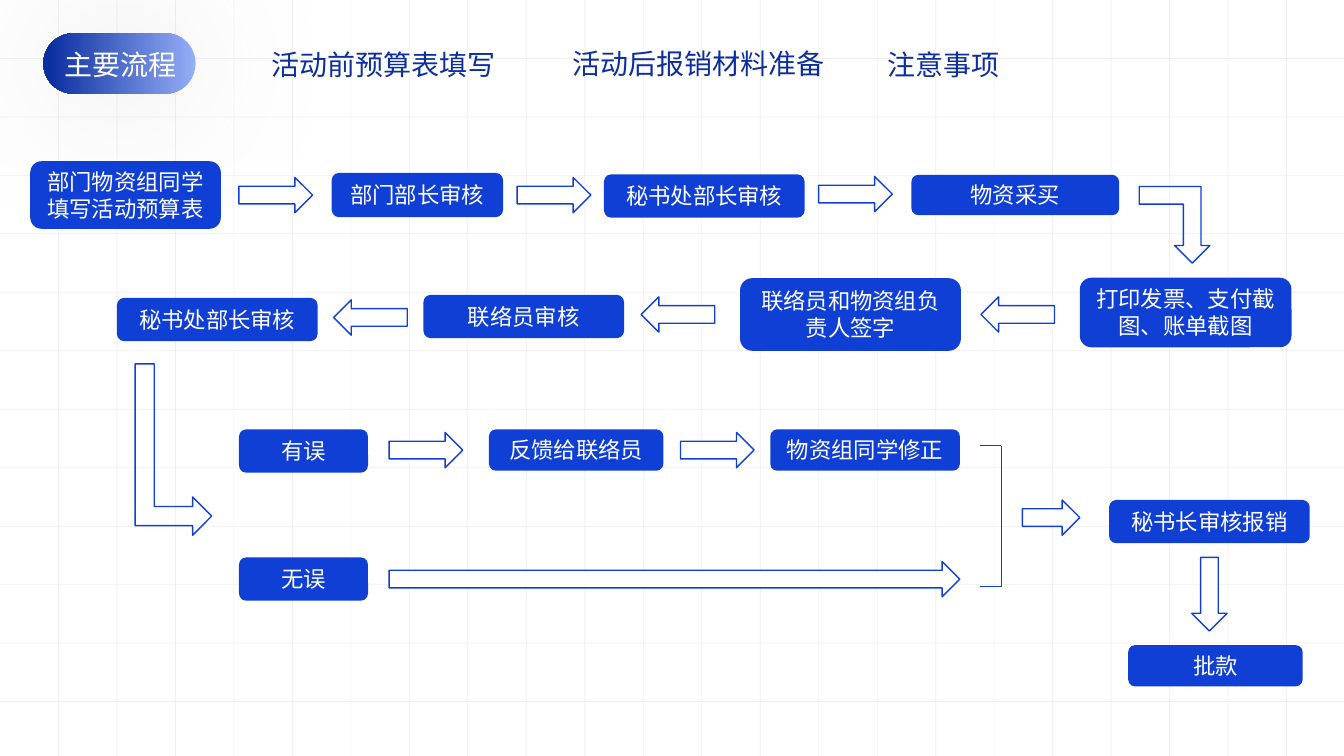
from dataclasses import dataclass

from lxml import etree
from pptx import Presentation
from pptx.dml.color import RGBColor
from pptx.enum.shapes import MSO_CONNECTOR, MSO_SHAPE
from pptx.enum.text import MSO_ANCHOR, PP_ALIGN
from pptx.oxml.ns import qn
from pptx.util import Inches, Pt

ROUND = MSO_SHAPE.ROUNDED_RECTANGLE
ARROW = MSO_SHAPE.RIGHT_ARROW
BENT = MSO_SHAPE.BENT_UP_ARROW
LINE = MSO_CONNECTOR.STRAIGHT
LEFT, CENTER = PP_ALIGN.LEFT, PP_ALIGN.CENTER
TOP, MIDDLE = MSO_ANCHOR.TOP, MSO_ANCHOR.MIDDLE


@dataclass(frozen=True)
class Theme:
    """Colours, font and type sizes."""
    blue: str = "103FD5"
    navy: str = "0C2FA0"
    pale: str = "96AEF7"
    white: str = "FFFFFF"
    grid: str = "E7E6E6"
    shade: str = "BFBFBF"
    font: str = "Noto Sans CJK SC"
    head: int = 20
    body: int = 16


THEME = Theme()


def rgb(code):
    """Turn a hex code into a colour."""
    return RGBColor.from_string(code)


def write(shape, text, size, color, align, anchor):
    """Set and format the text of a shape."""
    frame = shape.text_frame
    frame.text = text
    frame.word_wrap = True
    frame.vertical_anchor = anchor
    para = frame.paragraphs[0]
    para.alignment = align
    font = para.runs[0].font
    font.size, font.name = Pt(size), THEME.font
    font.color.rgb = rgb(color)
    props = para.runs[0].font._element
    etree.SubElement(props, qn("a:ea")).set("typeface", THEME.font)


def rule(slide, start, end, color, alpha=None):
    """Draw a thin line between two points."""
    line = slide.shapes.add_connector(LINE, *map(Inches, start + end))
    line.line.color.rgb = rgb(color)
    line.line.width = Pt(0.5)
    props = line.element.spPr
    etree.SubElement(props, qn("a:effectLst"))
    if alpha:
        tint = props.find(".//" + qn("a:srgbClr"))
        etree.SubElement(tint, qn("a:alpha")).set("val", str(alpha * 1000))


def node(slide, x, y, w, h, text):
    """Draw one step of the process."""
    shape = slide.shapes.add_shape(ROUND, *map(Inches, (x, y, w, h)))
    shape.shadow.inherit = False
    shape.fill.solid()
    shape.fill.fore_color.rgb = rgb(THEME.blue)
    shape.line.fill.background()
    write(shape, text, THEME.body, THEME.white, CENTER, MIDDLE)


def arrow(slide, x, y, w, h=0.35, kind=ARROW, turn=0, flip=False):
    """Draw one outlined block arrow."""
    shape = slide.shapes.add_shape(kind, *map(Inches, (x, y, w, h)))
    shape.shadow.inherit = False
    if kind == BENT:
        shape.fill.background()
    else:
        shape.fill.solid()
        shape.fill.fore_color.rgb = rgb(THEME.white)
    shape.line.color.rgb = rgb(THEME.blue)
    shape.line.width = Pt(1)
    shape.rotation = turn
    if flip:
        shape.element.spPr.xfrm.set("flipH", "1")


def backdrop(slide, box, step=0.58):
    """Rule a faint square grid over the box."""
    x, y, w, h = box
    for i in range(1, int(w / step)+1):
        at = x + i * step
        rule(slide, (at, y), (at, y + h), THEME.grid, 60)
    for i in range(1, int(h / step) + 1):
        at = y + i * step
        rule(slide, (x + w, at), (x, at), THEME.grid, 60)


def header(slide, box):
    """Place the pill, the title and the other section names."""
    x, y, w, h = box
    pill = slide.shapes.add_shape(ROUND, *map(Inches, (x, y, 1.51, h)))
    pill.adjustments[0] = 0.5
    pill.line.fill.background()
    pill.fill.gradient()
    pill.fill.gradient_angle = 180
    stops = ((0, THEME.pale), (0.96, THEME.navy))
    for stop, (place, color) in zip(pill.fill.gradient_stops, stops):
        stop.position = place
        stop.color.rgb = rgb(color)
    pill.shadow.inherit = False
    glow = etree.SubElement(pill.element.spPr.find(qn("a:effectLst")),
                            qn("a:outerShdw"), blurRad=str(Pt(100)),
                            dist="0", dir="0", algn="ctr", rotWithShape="0")
    tint = etree.SubElement(glow, qn("a:srgbClr"), val=THEME.shade)
    etree.SubElement(tint, qn("a:alpha"), val="40000")

    title = slide.shapes.title
    pill.element.addnext(title.element)
    title.left, title.top = Inches(x + 0.11), Inches(y + 0.09)
    title.width, title.height = Inches(2.36), Inches(0.44)
    write(title, "主要流程", THEME.head, THEME.white, LEFT, TOP)
    tabs = ((2.16, 0.09, 3.05, "活动前预算表填写"),
            (5.15, 0.08, 2.81, "活动后报销材料准备"),
            (8.27, 0.09, 2.06, "注意事项"))
    for dx, dy, wide, text in tabs:
        spot = map(Inches, (x + dx, y + dy, wide, 0.44))
        tab = slide.shapes.add_textbox(*spot)
        write(tab, text, THEME.head, THEME.navy, LEFT, TOP)


def flow(slide, box, nodes, arrows, flip=False):
    """Centre a row of steps and arrows on the middle of the box."""
    x, y, w, h = box
    mid = y + h / 2
    for dx, dy, wide, tall, text in nodes:
        node(slide, x + dx, mid + dy - tall / 2, wide, tall, text)
    for dx, dy, wide in arrows:
        arrow(slide, x + dx, mid + dy - 0.175, wide, flip=flip)


def bracket(slide, box):
    """Join the two branches with a right bracket."""
    x, y, w, h = box
    rule(slide, (x + w, y), (x + w, y + h), THEME.blue)
    for at in (y, y + h):
        rule(slide, (x, at), (x + w, at), THEME.blue)


def finish(slide, box):
    """Place the last review and the payment below it."""
    x, y, w, h = box
    arrow(slide, x, y, 0.57)
    node(slide, x + 0.86, y, 1.99, 0.43, "秘书长审核报销")
    arrow(slide, x + 1.49, y + 0.76, 0.73, turn=90)
    node(slide, x + 1.05, y + h - 0.41, 1.73, 0.41, "批款")


def main():
    """Build and save the slide."""
    deck = Presentation()
    deck.slide_width, deck.slide_height = Inches(13.33), Inches(7.5)
    slide = deck.slides.add_slide(deck.slide_layouts[5])
    backdrop(slide, (0, 0, 13.33, 7.5))
    header(slide, (0.43, 0.33, 10.33, 0.6))
    flow(slide, (0.3, 1.6, 10.8, 0.67),
         ((0, 0, 1.89, 0.67, "部门物资组同学填写活动预算表"),
          (2.99, 0, 1.7, 0.44, "部门部长审核"),
          (5.69, 0.01, 1.99, 0.43, "秘书处部长审核"),
          (8.74, 0, 2.06, 0.4, "物资采买")),
         ((2.07, 0, 0.73), (4.83, 0, 0.73), (7.82, -0.01, 0.73)))
    arrow(slide, 11.3, 1.85, 0.7, 0.76, BENT, 180, True)
    flow(slide, (1.16, 2.76, 11.65, 0.72),
         ((9.55, -0.02, 2.1, 0.69, "打印发票、支付截图、账单截图"),
          (6.18, 0, 2.19, 0.72, "联络员和物资组负责人签字"),
          (3.04, 0.02, 1.99, 0.43, "联络员审核"),
          (0, 0.05, 1.99, 0.43, "秘书处部长审核")),
         ((8.57, 0, 0.73), (5.2, 0, 0.73), (2.15, 0.03, 0.73)), True)
    arrow(slide, 0.87, 4.08, 1.7, 0.76, BENT, 90)
    flow(slide, (2.37, 4.26, 7.15, 0.41),
         ((0, 0.01, 1.28, 0.43, "有误"),
          (2.48, 0, 1.73, 0.41, "反馈给联络员"),
          (5.27, 0, 1.88, 0.41, "物资组同学修正")),
         ((1.49, 0, 0.73), (4.38, 0, 0.73)))
    flow(slide, (2.37, 5.53, 7.15, 0.43),
         ((0, 0, 1.28, 0.43, "无误"),), ((1.49, 0, 5.66),))
    bracket(slide, (9.72, 4.42, 0.21, 1.4))
    finish(slide, (10.14, 4.96, 2.85, 1.85))
    deck.save("out.pptx")


if __name__ == "__main__":
    main()
